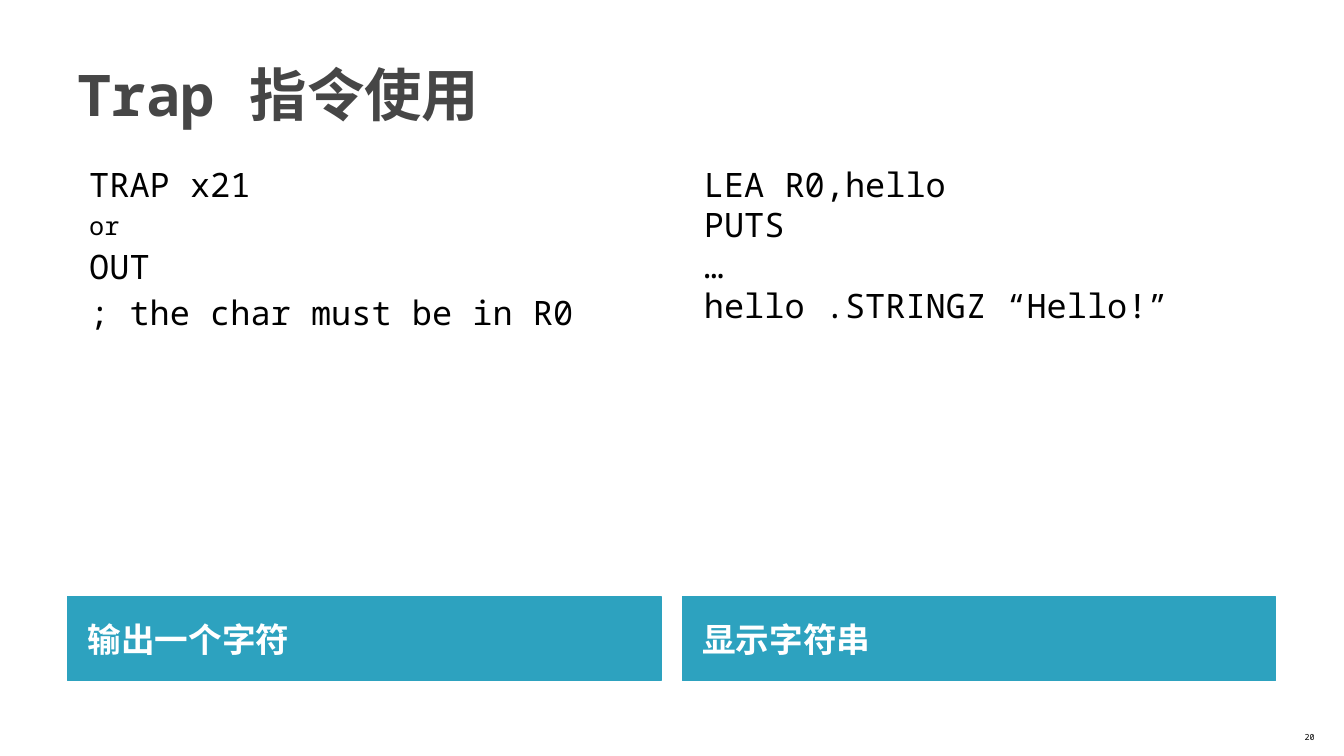
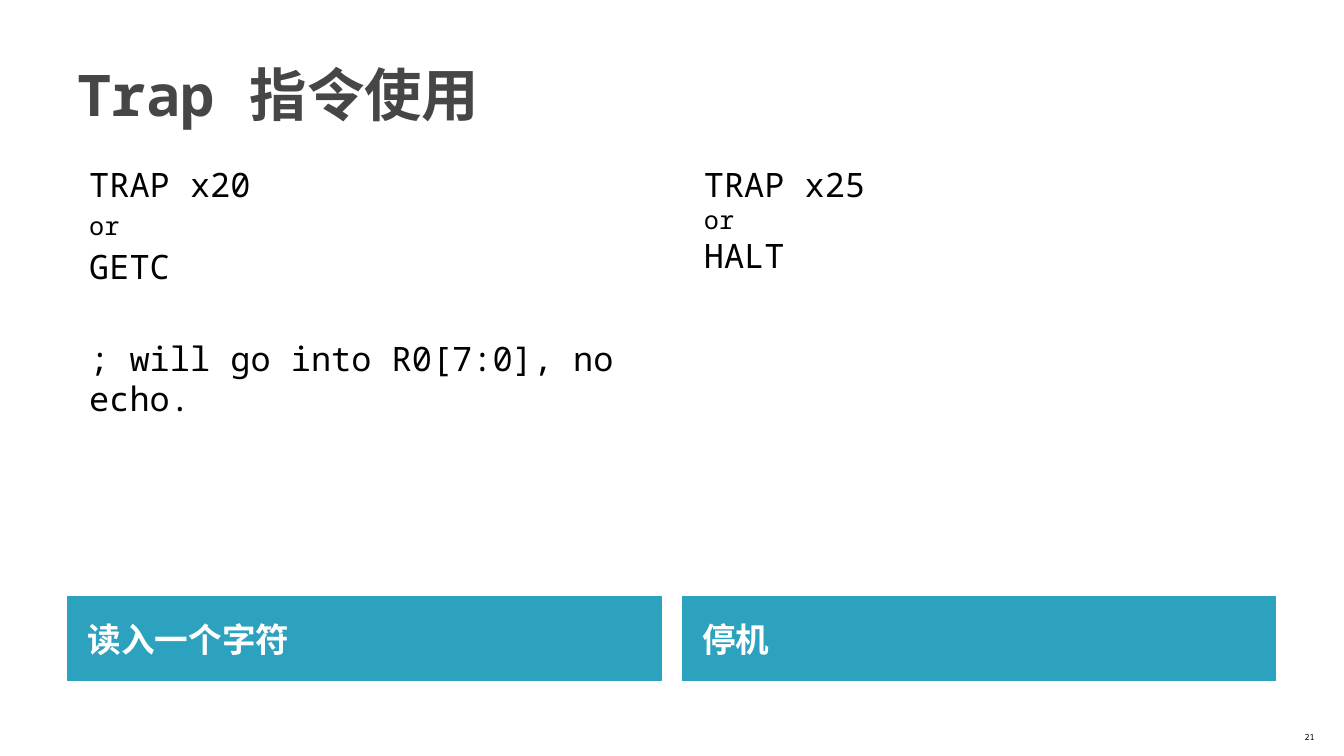
from pptx import Presentation
from pptx import util as u
from pptx.dml.color import RGBColor
from pptx.enum import shapes, text

# Shared style
FONT = "Noto Sans Mono"
TEAL = RGBColor(0x2D, 0xA2, 0xBF)
GRAY = RGBColor(0x46, 0x46, 0x46)
BLACK = RGBColor(0, 0, 0)
WHITE = RGBColor(0xFF, 0xFF, 0xFF)
CODE_SIZE = 24
SMALL_SIZE = 18

# Shared grid
LEFT = u.Cm(1.7)
COLUMN_WIDTH = u.Cm(14.96)
COLUMN_STEP = u.Cm(15.49)


def write_text(shape, lines, size=CODE_SIZE, color=BLACK, bold=False, gap=0,
               indent=0, inset=u.Cm(0.25), anchor=text.MSO_ANCHOR.TOP,
               align=text.PP_ALIGN.LEFT):
    """Fill a shape; a line is a string or (string, its own format)."""
    frame = shape.text_frame
    frame.word_wrap = True
    frame.vertical_anchor = anchor
    frame.margin_left = inset
    for index, line in enumerate(lines):
        words, own = (line, {}) if isinstance(line, str) else line
        paragraph = frame.paragraphs[0] if index == 0 else frame.add_paragraph()
        paragraph.alignment = align
        properties = paragraph._p.get_or_add_pPr()
        properties.set("marL", str(int(indent)))
        properties.set("indent", "0")
        if index:
            paragraph.space_before = u.Pt(own.get("gap", gap))
        run = paragraph.add_run()
        run.text = words
        run.font.name = FONT
        run.font.size = u.Pt(own.get("size", size))
        run.font.bold = bold
        run.font.color.rgb = color


# Slide content: number, then (caption, gap between lines, code) per column
OR_LINE = ("or", {"size": SMALL_SIZE})
SLIDES = [
    (20, [
        ("输出一个字符", 4,
         ["TRAP x21", OR_LINE, "OUT", "; the char must be in R0"]),
        ("显示字符串", 0,
         ["LEA R0,hello", "PUTS", "…", "hello .STRINGZ “Hello!”"]),
    ]),
    (21, [
        ("读入一个字符", 4,
         ["TRAP x20", OR_LINE, "GETC",
          ("; will go into R0[7:0], no echo.", {"gap": 37})]),
        ("停机", 0, ["TRAP x25", OR_LINE, "HALT"]),
    ]),
]

presentation = Presentation()
presentation.slide_width = u.Cm(33.87)
presentation.slide_height = u.Cm(19.05)

for number, columns in SLIDES:
    slide = presentation.slides.add_slide(presentation.slide_layouts[6])

    # Title
    title = slide.shapes.add_textbox(LEFT, u.Cm(0.76), u.Cm(30.48), u.Cm(3.18))
    write_text(title, ["Trap 指令使用"], size=41, color=GRAY, bold=True,
               anchor=text.MSO_ANCHOR.MIDDLE)

    # Code columns with caption bars
    for position, (caption, gap, code) in enumerate(columns):
        left = LEFT + position * COLUMN_STEP
        bar = slide.shapes.add_shape(shapes.MSO_SHAPE.RECTANGLE, left,
                                     u.Cm(15.04), COLUMN_WIDTH, u.Cm(2.11))
        bar.shadow.inherit = False
        bar.fill.solid()
        bar.fill.fore_color.rgb = TEAL
        bar.line.color.rgb = TEAL
        bar.line.width = u.Pt(0.75)
        write_text(bar, [caption], color=WHITE, bold=True, inset=u.Cm(0.51),
                   anchor=text.MSO_ANCHOR.MIDDLE)

        code_box = slide.shapes.add_textbox(left, u.Cm(4.01), COLUMN_WIDTH,
                                            u.Cm(10.95))
        write_text(code_box, code, gap=gap, indent=u.Cm(0.3))

    # Slide number
    number_box = slide.shapes.add_textbox(u.Cm(32.03), u.Cm(17.81),
                                          u.Cm(1.35), u.Cm(1.02))
    write_text(number_box, [str(number)], size=6,
               anchor=text.MSO_ANCHOR.BOTTOM, align=text.PP_ALIGN.RIGHT)

presentation.save("out.pptx")
